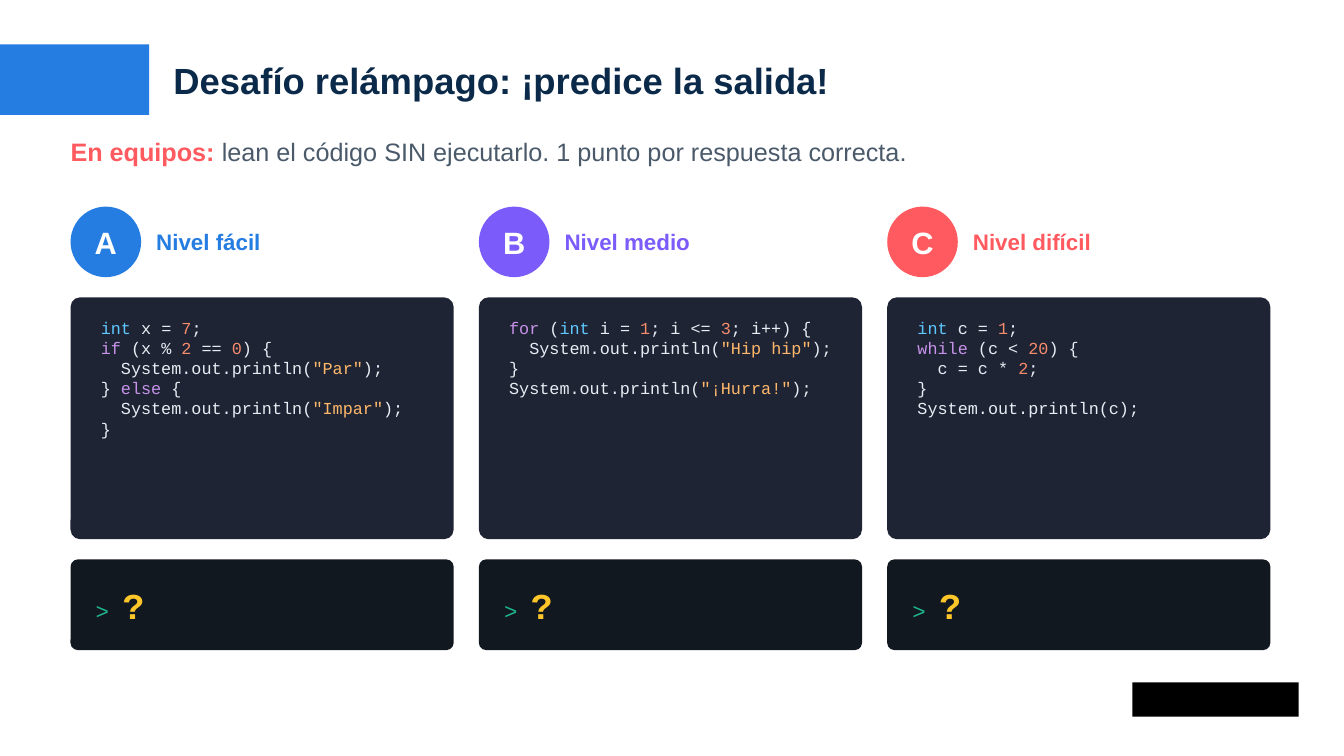
from pptx import Presentation
from pptx import util as u
from pptx.dml.color import RGBColor
from pptx.enum import shapes, text

PX = 9144  # 100 px to the inch
SANS, MONO = "Arial", "Courier New"
BLUE, VIOLET, CORAL, NAVY, SLATE = "257CE1", "7B5CFA", "FF5A5F", "0B2A4A", "4A5A6A"
CODE_BG, CONSOLE_BG, PROMPT, ANSWER = "1E2433", "111820", "1FB58F", "FFC629"
PLAIN, NUMBER, STRING = "E6EDF3", "F78C6C", "FFB86B"
KEYWORDS = {"int": "5EC8FF", "if": "C792EA", "else": "C792EA",
            "for": "C792EA", "while": "C792EA"}

# Each code line is cut at "|" where the colour changes
LEVELS = [
    ("A", "Nivel fácil", BLUE, [
        'int |x = |7|;',
        'if |(x % |2 |== |0|) {',
        '  System.out.println(|"Par"|);',
        '} |else |{',
        '  System.out.println(|"Impar"|);',
        '}']),
    ("B", "Nivel medio", VIOLET, [
        'for |(|int |i = |1|; i <= |3|; i++) {',
        '  System.out.println(|"Hip hip"|);',
        '}',
        'System.out.println(|"¡Hurra!"|);']),
    ("C", "Nivel difícil", CORAL, [
        'int |c = |1|;',
        'while |(c < |20|) {',
        '  c = c * |2|;',
        '}',
        'System.out.println(c);']),
]


def color(hex_code):
    return RGBColor.from_string(hex_code)


def px(*lengths):
    return [u.Emu(length * PX) for length in lengths]


def block(slide, kind, box, fill, corner=None):
    """Plain filled shape without outline or shadow."""
    shape = slide.shapes.add_shape(kind, *px(*box))
    if corner is not None:
        shape.adjustments[0] = corner
    shape.fill.solid()
    shape.fill.fore_color.rgb = color(fill)
    shape.line.fill.background()
    shape.shadow.inherit = False
    return shape


def write(shape, lines, middle=True, align=text.PP_ALIGN.LEFT, after=4):
    """Fill a shape with lines of (words, font, size, colour, bold) runs."""
    frame = shape.text_frame
    frame.word_wrap = True
    frame.auto_size = text.MSO_AUTO_SIZE.NONE
    frame.margin_left = frame.margin_right = frame.margin_top = frame.margin_bottom = 0
    frame.vertical_anchor = text.MSO_ANCHOR.MIDDLE if middle else text.MSO_ANCHOR.TOP
    for number, line in enumerate(lines):
        paragraph = frame.add_paragraph() if number else frame.paragraphs[0]
        paragraph.alignment = align
        paragraph.space_before, paragraph.space_after = u.Pt(0), u.Pt(after)
        for words, face, size, hue, bold in line:
            run = paragraph.add_run()
            run.text = words
            run.font.name, run.font.size, run.font.bold = face, u.Pt(size), bold
            run.font.color.rgb = color(hue)


def label(slide, box, lines, **layout):
    write(slide.shapes.add_textbox(*px(*box)), lines, **layout)


def code_color(piece):
    token = piece.strip()
    if token.isdigit():
        return NUMBER
    if token.startswith('"'):
        return STRING
    return KEYWORDS.get(token, PLAIN)


def header(slide, left, top, width, height):
    block(slide, shapes.MSO_SHAPE.RECTANGLE, (left, top, 148, height), BLUE)
    title = slide.shapes.title
    title.left, title.top, title.width, title.height = px(
        left + 172, top, width - 172, height)
    write(title, [[("Desafío relámpago: ¡predice la salida!", SANS, 26, NAVY, True)]])


def instructions(slide, box):
    label(slide, box, [[
        ("En equipos: ", SANS, 18, CORAL, True),
        ("lean el código SIN ejecutarlo. 1 punto por respuesta correcta.",
         SANS, 18, SLATE, False)]], middle=False)


def level_column(slide, left, top, width, level):
    letter, name, hue, code = level

    # Badge and level name
    badge = block(slide, shapes.MSO_SHAPE.OVAL, (left, top, 70, 70), hue)
    write(badge, [[(letter, SANS, 22, "FFFFFF", True)]], align=text.PP_ALIGN.CENTER)
    label(slide, (left + 85, top, width - 90, 70), [[(name, SANS, 16, hue, True)]])

    # Code card
    block(slide, shapes.MSO_SHAPE.ROUNDED_RECTANGLE,
          (left, top + 90, width, 240), CODE_BG, 0.04)
    code_lines = [[(piece, MONO, 12, code_color(piece), False)
                   for piece in line.split("|")] for line in code]
    label(slide, (left + 30, top + 110, width - 50, 205), code_lines,
          middle=False, after=0)

    # Console with the answer to guess
    block(slide, shapes.MSO_SHAPE.ROUNDED_RECTANGLE,
          (left, top + 350, width, 90), CONSOLE_BG, 0.08)
    label(slide, (left + 25, top + 350, width - 50, 90),
          [[("> ", MONO, 16, PROMPT, False), ("?", MONO, 26, ANSWER, True)]])


def main():
    deck = Presentation()
    deck.slide_width, deck.slide_height = px(1333, 750)
    slide = deck.slides.add_slide(deck.slide_layouts[5])

    header(slide, 0, 44, 1272, 70)
    instructions(slide, (70, 135, 1200, 50))

    column_width, gap = 380, 25
    for index, level in enumerate(LEVELS):
        level_column(slide, 70 + index * (column_width + gap), 205, column_width, level)

    # Plain mark in the footer corner
    block(slide, shapes.MSO_SHAPE.RECTANGLE, (1123, 677, 165, 34), "000000")

    deck.save("out.pptx")


if __name__ == "__main__":
    main()
